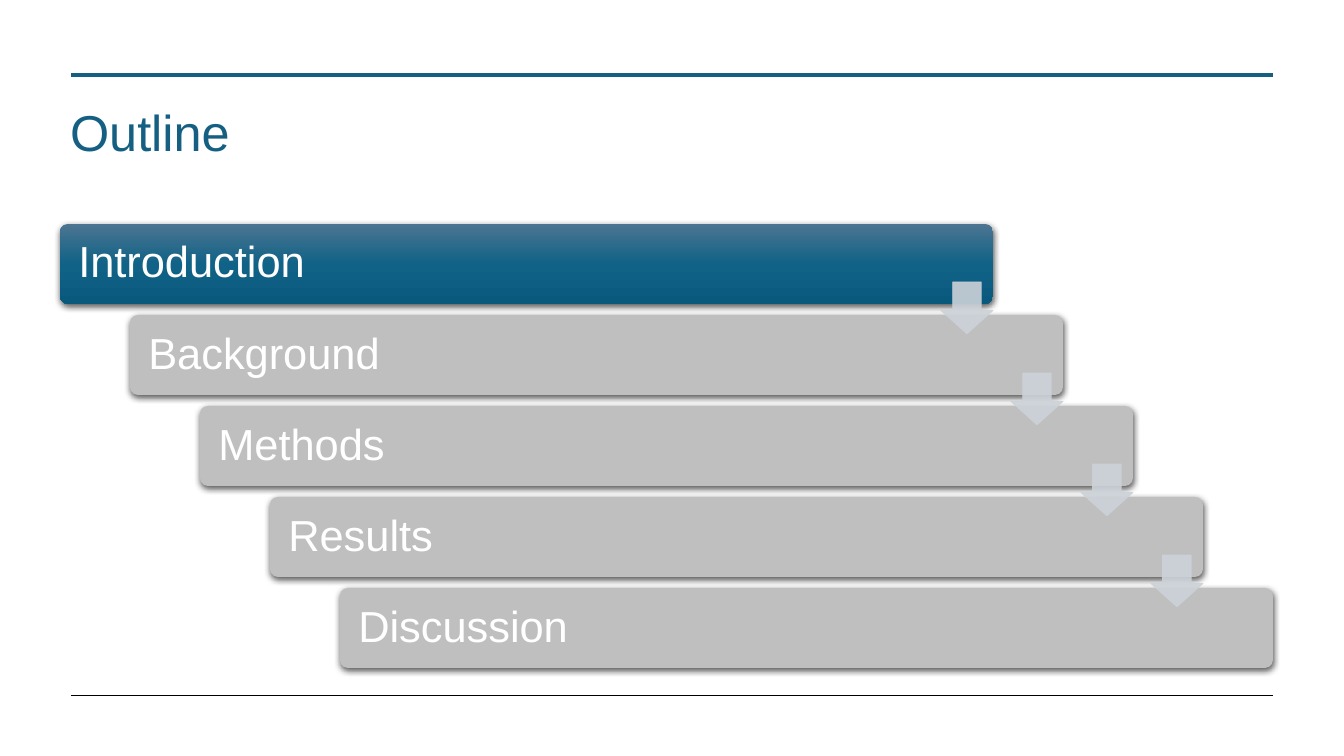
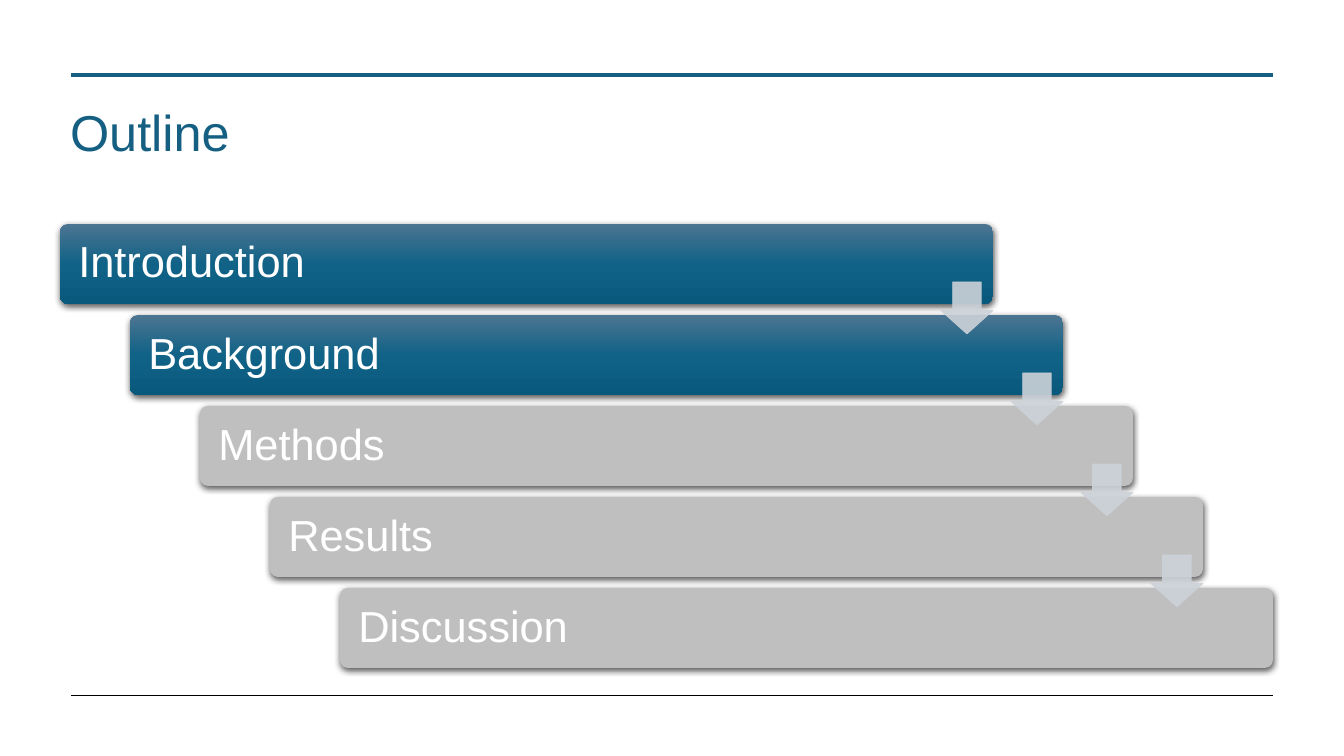
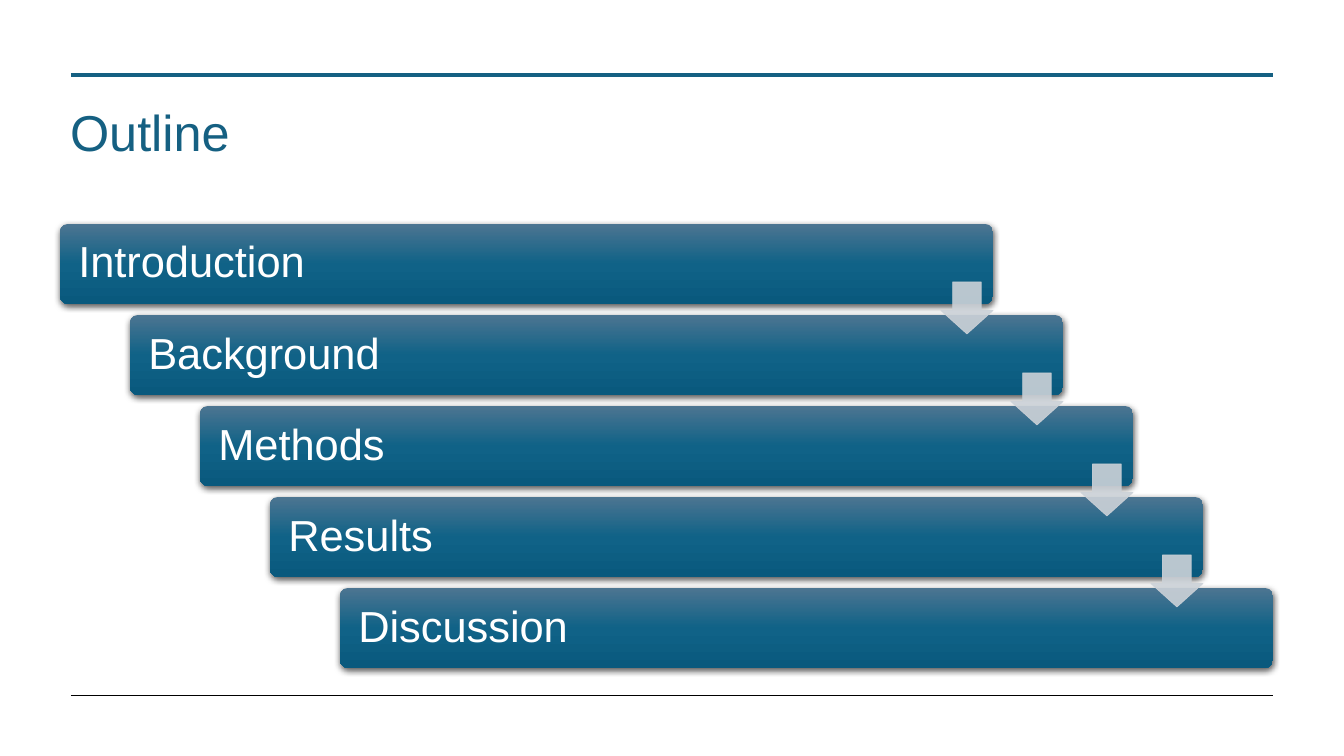
"""Build three outline slides whose staircase of bars lights up step by step."""
import copy
from dataclasses import dataclass

import pptx
import pptx.dml.color
import pptx.enum.shapes
import pptx.enum.text
import pptx.oxml
import pptx.oxml.ns
import pptx.util
from lxml import etree

TITLE = "Outline"
TOPICS = ["Introduction", "Background", "Methods", "Results", "Discussion"]
REACHED_COUNTS = [1, 2, 5]

EMU_PER_PX = 914400 / 100.8
SLIDE_SIZE = (1344, 756)
TITLE_BOX = (60, 105, 1212, 119)
RULE_LEFT, RULE_RIGHT = 71, 1273
BAR_LEFT, BAR_TOP, BAR_WIDTH, BAR_HEIGHT = 60, 224, 933, 80
STEP_X, STEP_Y = 70, 91
BAR_INSET = 16
ARROW_SIZE, ARROW_DROP = 52, 58


@dataclass(frozen=True)
class Theme:
    """Colours and type sizes of the slides."""
    font: str = "Arial"
    title_size: int = 36
    bar_size: int = 31
    accent: str = "156082"
    bar_text: str = "FFFFFF"
    reached: tuple = ((0, "4C7591"), (0.5, "106287"), (1, "09597D"))
    pending: str = "BFBFBF"
    arrow: str = "CCD2D8"
    arrow_alpha: int = 90000
    footer_rule: str = "000000"


THEME = Theme()
RULES = [(75, THEME.accent, 3), (695, THEME.footer_rule, 0.5)]
SHADOW = (
    '<a:outerShdw xmlns:a="http://schemas.openxmlformats.org/drawingml/2006/main" '
    'blurRad="57150" dist="19050" dir="5400000" algn="ctr" rotWithShape="0">'
    '<a:srgbClr val="000000"><a:alpha val="63000"/></a:srgbClr></a:outerShdw>'
)
qn = pptx.oxml.ns.qn


def px(length):
    """Turn pixels into EMU."""
    return pptx.util.Emu(round(length * EMU_PER_PX))


def rgb(code):
    """Turn a hex code into a colour."""
    return pptx.dml.color.RGBColor.from_string(code)


def set_text(text_frame, text, size, color, spacing, anchor):
    """Write one left-aligned paragraph and format it."""
    text_frame.text = text
    text_frame.word_wrap = True
    text_frame.auto_size = pptx.enum.text.MSO_AUTO_SIZE.NONE
    text_frame.vertical_anchor = anchor
    paragraph = text_frame.paragraphs[0]
    paragraph.alignment = pptx.enum.text.PP_ALIGN.LEFT
    paragraph.line_spacing = spacing
    font = paragraph.runs[0].font
    font.name, font.size = THEME.font, pptx.util.Pt(size)
    font.color.rgb = rgb(color)


def prepare_layout(layout, slide):
    """Place the title on the layout and move the two rules there."""
    title = layout.placeholders[0]
    title.left, title.top, title.width, title.height = map(px, TITLE_BOX)
    for top, color, weight in RULES:
        rule = slide.shapes.add_connector(
            pptx.enum.shapes.MSO_CONNECTOR.STRAIGHT,
            px(RULE_LEFT), px(top), px(RULE_RIGHT), px(top))
        rule.line.color.rgb = rgb(color)
        rule.line.width = pptx.util.Pt(weight)
        etree.SubElement(rule.element.spPr, qn("a:effectLst"))
        layout.element.cSld.spTree.append(rule.element)


def fill_gradient(shape, stops):
    """Fill a shape from top to bottom with three colour stops."""
    shape.fill.gradient()
    shape.fill.gradient_angle = 270
    stop_list = shape.element.spPr.find(".//" + qn("a:gsLst"))
    stop_list.append(copy.deepcopy(stop_list[-1]))
    for stop, (position, color) in zip(shape.fill.gradient_stops, stops):
        stop.position = position
        stop.color.rgb = rgb(color)


def add_bar(slide, index, topic, is_reached):
    """Add one step of the staircase."""
    bar = slide.shapes.add_shape(
        pptx.enum.shapes.MSO_SHAPE.ROUNDED_RECTANGLE,
        px(BAR_LEFT + index * STEP_X), px(BAR_TOP + index * STEP_Y),
        px(BAR_WIDTH), px(BAR_HEIGHT))
    bar.adjustments[0] = 0.1
    if is_reached:
        fill_gradient(bar, THEME.reached)
    else:
        bar.fill.solid()
        bar.fill.fore_color.rgb = rgb(THEME.pending)
    bar.line.fill.background()
    bar.shadow.inherit = False
    effects = bar.element.spPr.find(qn("a:effectLst"))
    effects.append(pptx.oxml.parse_xml(SHADOW))
    bar.text_frame.margin_left = px(BAR_INSET)
    set_text(bar.text_frame, topic, THEME.bar_size, THEME.bar_text, 0.9,
             pptx.enum.text.MSO_ANCHOR.MIDDLE)


def add_arrow(slide, index):
    """Add the arrow from one step to the next."""
    arrow = slide.shapes.add_shape(
        pptx.enum.shapes.MSO_SHAPE.DOWN_ARROW,
        px(BAR_LEFT + BAR_WIDTH - ARROW_SIZE + index * STEP_X),
        px(BAR_TOP + ARROW_DROP + index * STEP_Y),
        px(ARROW_SIZE), px(ARROW_SIZE))
    arrow.adjustments[0], arrow.adjustments[1] = 0.55, 0.45
    arrow.fill.solid()
    arrow.fill.fore_color.rgb = rgb(THEME.arrow)
    arrow.line.color.rgb = rgb(THEME.arrow)
    arrow.line.width = pptx.util.Pt(0.5)
    arrow.shadow.inherit = False
    for color in arrow.element.spPr.iter(qn("a:srgbClr")):
        etree.SubElement(color, qn("a:alpha"), val=str(THEME.arrow_alpha))


def main():
    """Build and save the presentation."""
    presentation = pptx.Presentation()
    presentation.slide_width, presentation.slide_height = map(px, SLIDE_SIZE)
    layout = presentation.slide_layouts[5]
    slides = [presentation.slides.add_slide(layout) for _ in REACHED_COUNTS]
    prepare_layout(layout, slides[0])
    for slide, reached_count in zip(slides, REACHED_COUNTS):
        set_text(slide.shapes.title.text_frame, TITLE, THEME.title_size,
                 THEME.accent, 0.85, pptx.enum.text.MSO_ANCHOR.TOP)
        for index, topic in enumerate(TOPICS):
            add_bar(slide, index, topic, index < reached_count)
        for index in range(len(TOPICS) - 1):
            add_arrow(slide, index)
    presentation.save("out.pptx")


if __name__ == "__main__":
    main()
